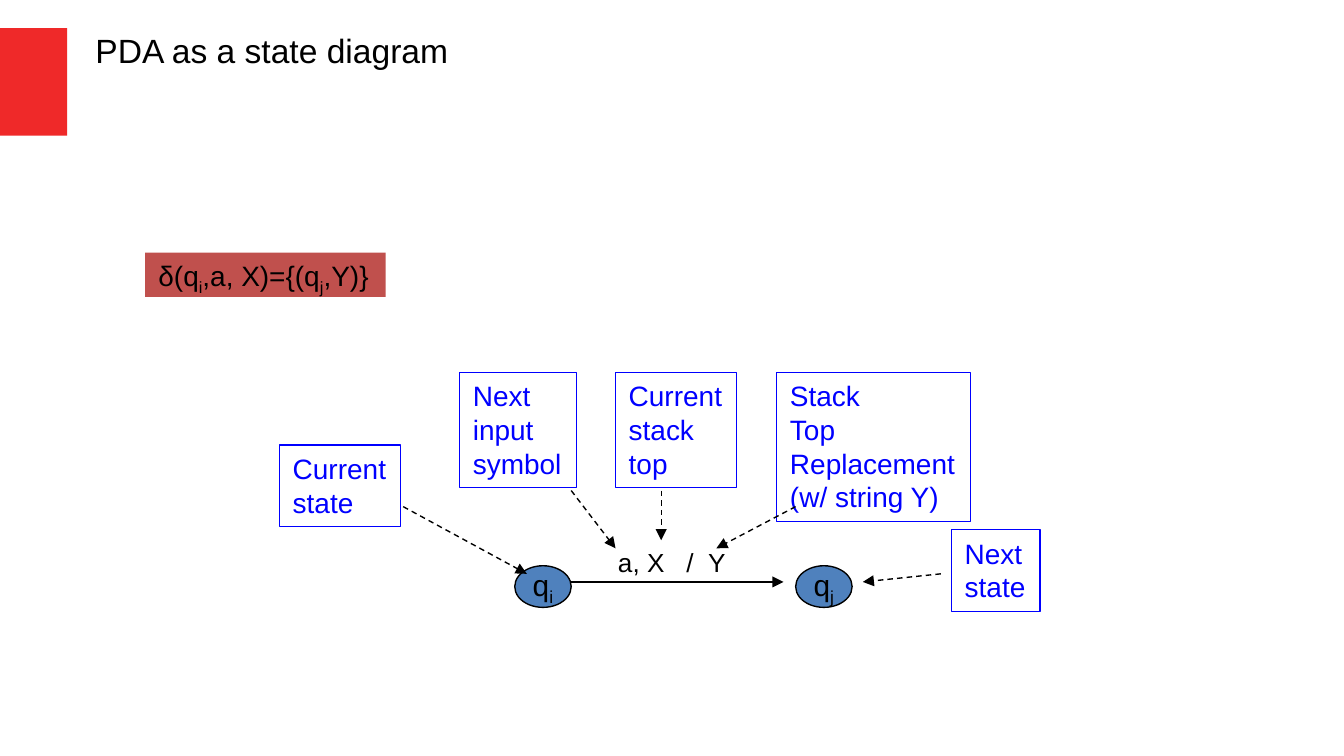
from dataclasses import dataclass
from typing import NamedTuple

from lxml.etree import SubElement
from pptx import Presentation
from pptx.dml.color import RGBColor
from pptx.enum.dml import MSO_LINE
from pptx.enum.shapes import MSO_CONNECTOR, MSO_SHAPE
from pptx.enum.text import MSO_ANCHOR, MSO_AUTO_SIZE, PP_ALIGN
from pptx.oxml.ns import qn
from pptx.util import Inches, Pt


@dataclass(frozen=True)
class Theme:
    font: str = "Arial"
    ink: str = "000000"
    label: str = "0000FF"
    state: str = "4F81BD"
    formula: str = "C0504D"
    accent: str = "EF2929"
    title_size: int = 18
    state_size: int = 16
    label_size: int = 15
    edge_size: int = 14
    line_width: float = 0.75


class Box(NamedTuple):
    left: float
    top: float
    width: float
    height: float

    def emu(self) -> list:
        return [Inches(v) for v in self]


class Label(NamedTuple):
    text: str
    box: Box


class State(NamedTuple):
    text: str
    left: float


class Arrow(NamedTuple):
    start: tuple[float, float]
    end: tuple[float, float]
    dashed: bool = True


THEME = Theme()

STATES = [State("q_i", 3.83), State("q_j", 5.92)]

LABELS = [
    Label("Next\vinput\vsymbol", Box(3.42, 2.77, 0.87, 0.86)),
    Label("Current\vstate", Box(2.08, 3.31, 0.9, 0.61)),
    Label("Current\nstack\vtop", Box(4.58, 2.77, 0.9, 0.86)),
    Label("Stack\nTop\nReplacement\n(w/ string Y)", Box(5.78, 2.77, 1.44, 1.11)),
    Label("Next\vstate", Box(7.08, 3.94, 0.66, 0.61)),
]

ARROWS = [
    Arrow((4.25, 4.33), (5.83, 4.33), dashed=False),
    Arrow((3, 3.77), (3.92, 4.27)),
    Arrow((4.25, 3.65), (4.58, 4.08)),
    Arrow((4.92, 3.65), (4.92, 4.02)),
    Arrow((5.92, 3.77), (5.33, 4.08)),
    Arrow((7, 4.27), (6.42, 4.33)),
]


def rgb(color: str) -> RGBColor:
    return RGBColor.from_string(color)


def add_runs(p, text: str, size: float, color: str) -> None:
    """Add text to a paragraph; the character after each "_" is a subscript."""
    first, *rest = text.split("_")
    pieces = [(first, False)]
    for part in rest:
        pieces += [(part[:1], True), (part[1:], False)]
    for piece, subscript in pieces:
        if not piece:
            continue
        r = p.add_run()
        r.text = piece
        r.font.name, r.font.size = THEME.font, Pt(size)
        r.font.color.rgb = rgb(color)
        if subscript:
            r.font._element.set("baseline", "-25000")


def write(sp, text: str, *, size: float, color: str = THEME.ink,
          align=PP_ALIGN.LEFT, anchor=MSO_ANCHOR.TOP, wrap: bool = False,
          grow: bool = True, spacing: float | None = None,
          hanging: float = 0, tabs: tuple[float, ...] = ()) -> None:
    r"""Fill a shape with text: "\n" starts a paragraph, "\v" breaks a line."""
    tf = sp.text_frame
    tf.word_wrap, tf.vertical_anchor = wrap, anchor
    tf.auto_size = MSO_AUTO_SIZE.SHAPE_TO_FIT_TEXT if grow else MSO_AUTO_SIZE.NONE
    for i, paragraph in enumerate(text.split("\n")):
        p = tf.add_paragraph() if i else tf.paragraphs[0]
        p.alignment = align
        if spacing:
            p.line_spacing = spacing
        p_pr = p._p.get_or_add_pPr()
        if hanging:
            p_pr.set("marL", str(Inches(hanging)))
            p_pr.set("indent", str(-Inches(hanging)))
        if tabs:
            tab_list = SubElement(p_pr, qn("a:tabLst"))
            for pos in tabs:
                SubElement(tab_list, qn("a:tab"), pos=str(Inches(pos)), algn="l")
        for j, line in enumerate(paragraph.split("\v")):
            if j:
                p.add_line_break()
            add_runs(p, line, size, color)


def add_filled(s, kind, box: Box, fill: str, outline: str | None = None):
    sp = s.shapes.add_shape(kind, *box.emu())
    sp.shadow.inherit = False
    sp.fill.solid()
    sp.fill.fore_color.rgb = rgb(fill)
    if outline:
        sp.line.color.rgb, sp.line.width = rgb(outline), Pt(THEME.line_width)
    else:
        sp.line.fill.background()
    return sp


def add_state(s, state: State) -> None:
    sp = add_filled(s, MSO_SHAPE.OVAL, Box(state.left, 4.21, 0.42, 0.31),
                    THEME.state, THEME.ink)
    write(sp, state.text, size=THEME.state_size, align=PP_ALIGN.CENTER,
          anchor=MSO_ANCHOR.MIDDLE, grow=False)


def add_label(s, label: Label) -> None:
    sp = s.shapes.add_textbox(*label.box.emu())
    sp.line.color.rgb, sp.line.width = rgb(THEME.label), Pt(THEME.line_width)
    write(sp, label.text, size=THEME.label_size, color=THEME.label)


def add_arrow(s, arrow: Arrow) -> None:
    ends = [Inches(v) for v in (*arrow.start, *arrow.end)]
    line = s.shapes.add_connector(MSO_CONNECTOR.STRAIGHT, *ends)
    line.line.color.rgb, line.line.width = rgb(THEME.ink), Pt(THEME.line_width)
    if arrow.dashed:
        line.line.dash_style = MSO_LINE.DASH
    SubElement(line.line._get_or_add_ln(), qn("a:tailEnd"), type="triangle")
    SubElement(line._element.spPr, qn("a:effectLst"))


def add_title(s, text: str, box: Box) -> None:
    title = s.shapes.title
    title.left, title.top, title.width, title.height = box.emu()
    tf = title.text_frame
    tf.margin_left = tf.margin_right = tf.margin_top = tf.margin_bottom = 0
    write(title, text, size=THEME.title_size, anchor=MSO_ANCHOR.MIDDLE, wrap=True)


def main() -> None:
    prs = Presentation()
    prs.slide_width = Inches(10)
    prs.slide_height = prs.slide_width * 9 // 16
    s = prs.slides.add_slide(prs.slide_layouts[5])

    add_filled(s, MSO_SHAPE.RECTANGLE, Box(0, 0.21, 0.5, 0.8), THEME.accent)
    add_title(s, "PDA as a state diagram", Box(0.71, 0.22, 8.78, 0.3))
    for state in STATES:
        add_state(s, state)
    edge = s.shapes.add_textbox(*Box(4.5, 4.02, 1.06, 0.34).emu())
    write(edge, "a, X\t/\tY", size=THEME.edge_size, tabs=(0.51, 0.67))
    for label in LABELS:
        add_label(s, label)
    for arrow in ARROWS:
        add_arrow(s, arrow)
    formula = add_filled(s, MSO_SHAPE.RECTANGLE, Box(1.08, 1.88, 1.79, 0.33),
                         THEME.formula)
    write(formula, "δ(q_i,a, X)={(q_j,Y)}", size=THEME.label_size,
          spacing=0.9, hanging=0.67)
    prs.save("out.pptx")


if __name__ == "__main__":
    main()
